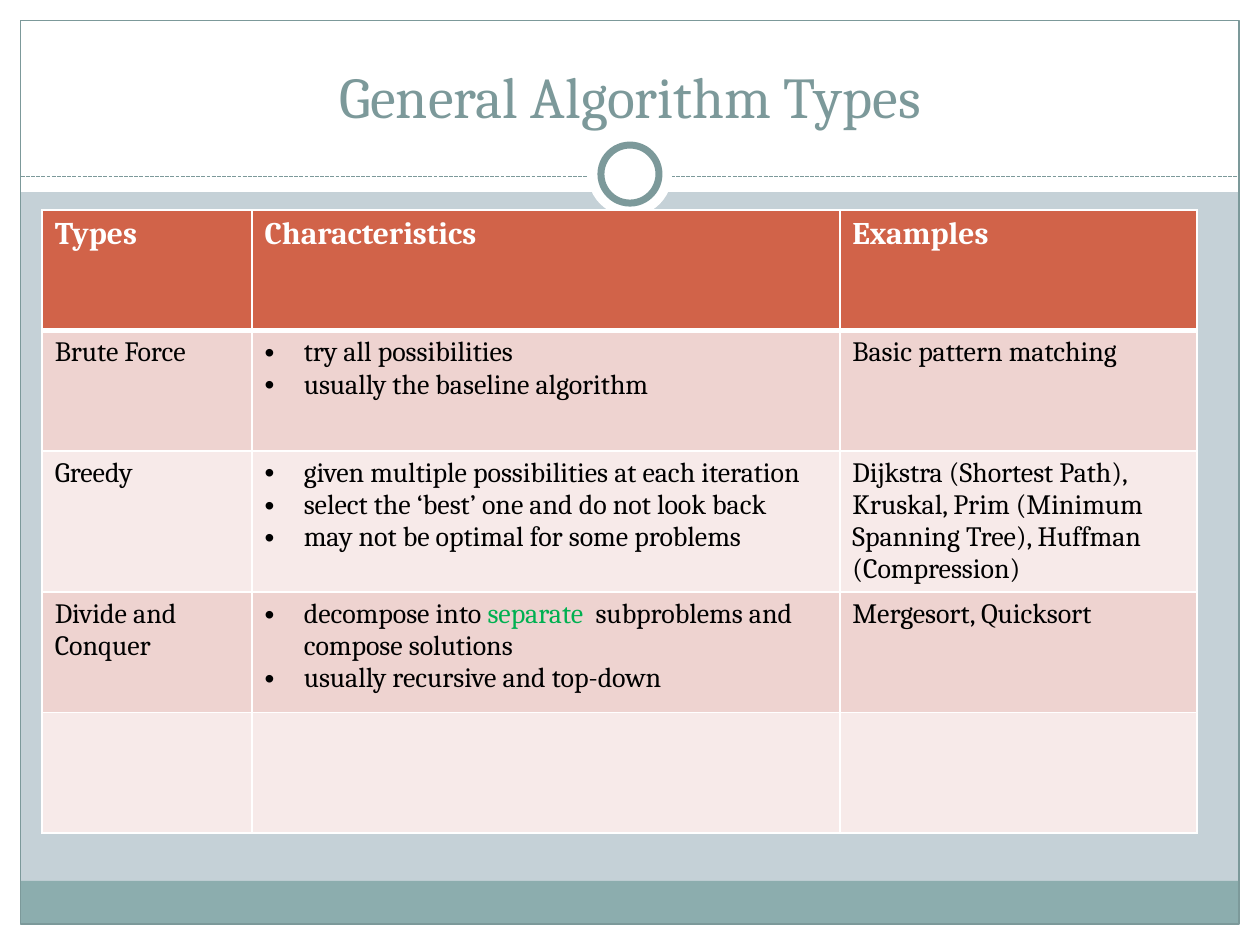
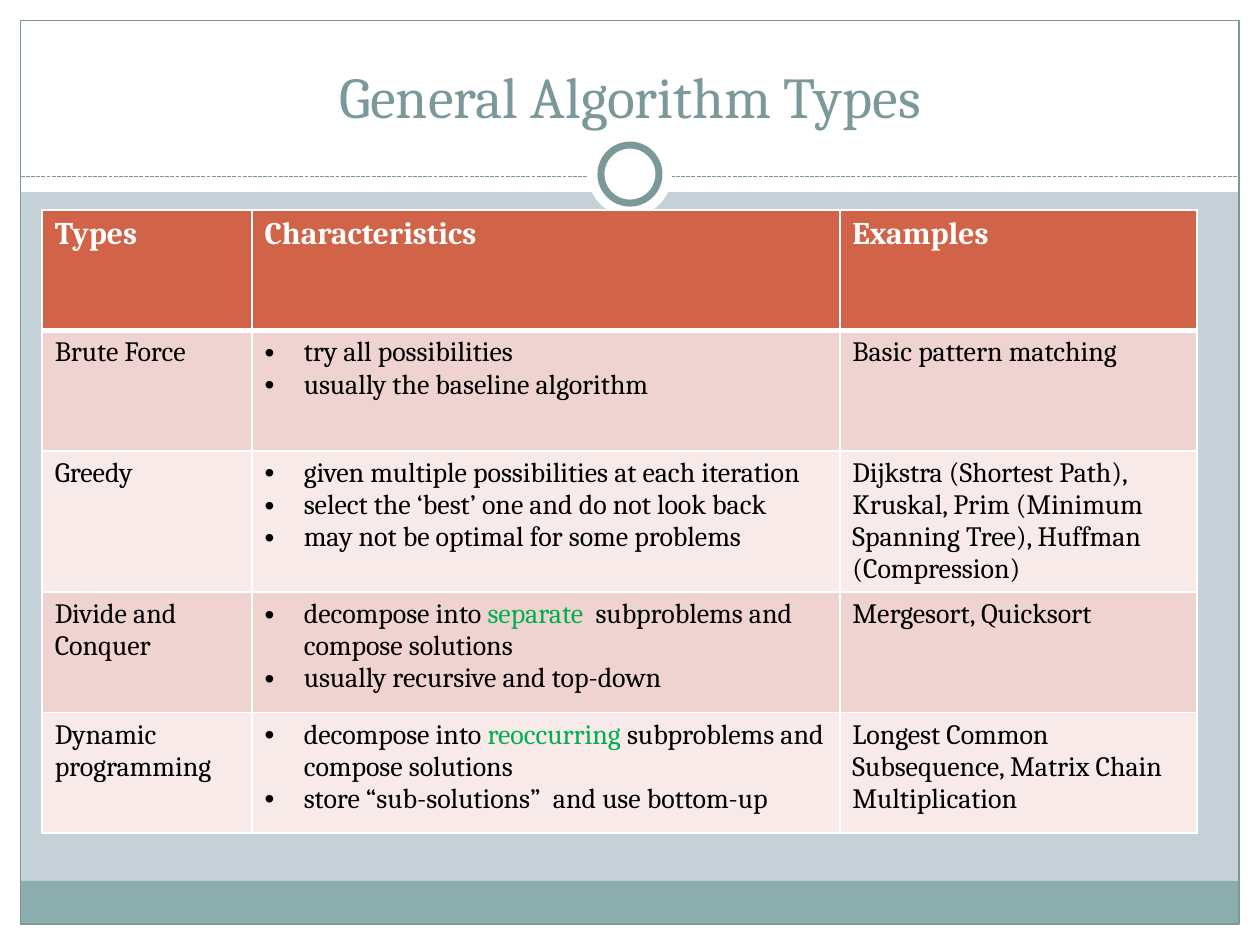
import lxml.etree
import pptx
import pptx.dml.color
import pptx.enum.dml
import pptx.enum.shapes
import pptx.enum.text
import pptx.oxml.ns
import pptx.util

Cm, Pt = pptx.util.Cm, pptx.util.Pt
KIND = pptx.enum.shapes.MSO_SHAPE
ALIGN = pptx.enum.text.PP_ALIGN

WIDE, HIGH = 25.4, 19.05
EDGE = 0.42
FONT = "Cambria"
WHITE, BLACK, GREEN = "FFFFFF", "000000", "00B050"
SKY, SAGE, TEAL = "C5D1D7", "7C999A", "8CADAE"
RUST, PINK, PALE = "D16349", "EED3D0", "F7EAE9"

COLS = [4.23, 11.85, 7.2]
ROW = 2.43
INDENT = 0.79

# Text between asterisks is highlighted; a list becomes bullets.
HEAD = ["Types", "Characteristics", "Examples"]
BASE = [
    ["Brute Force",
     ["try all possibilities", "usually the baseline algorithm"],
     "Basic pattern matching"],
    ["Greedy",
     ["given multiple possibilities at each iteration",
      "select the ‘best’ one and do not look back",
      "may not be optimal for some problems"],
     "Dijkstra (Shortest Path), Kruskal, Prim (Minimum Spanning Tree), "
     "Huffman (Compression)"],
    ["Divide and Conquer",
     ["decompose into *separate  *subproblems and compose solutions",
      "usually recursive and top-down"],
     "Mergesort, Quicksort"],
]
BLANK = ["", "", ""]
DYNAMIC = [
    "Dynamic programming",
    ["decompose into *reoccurring *subproblems and compose solutions",
     "store “sub-solutions”  and use bottom-up"],
    "Longest Common Subsequence, Matrix Chain Multiplication",
]


def color(code):
    return pptx.dml.color.RGBColor.from_string(code)


def node(parent, tag, **attrs):
    """Append a drawing element to parent."""
    item = lxml.etree.SubElement(parent, pptx.oxml.ns.qn(tag))
    for key, value in attrs.items():
        item.set(key, str(value))
    return item


def write(frame, text, size=16, ink=BLACK, bold=False, align=ALIGN.LEFT):
    """Fill a text frame with a string, or with a list as bullets."""
    bullets = isinstance(text, list)
    for i, line in enumerate(text if bullets else [text]):
        para = frame.add_paragraph() if i else frame.paragraphs[0]
        para.alignment = align
        if bullets:
            props = para._p.get_or_add_pPr()
            props.set("marL", str(Cm(INDENT)))
            props.set("indent", str(-Cm(INDENT)))
            node(props, "a:buFont", typeface="Arial")
            node(props, "a:buChar", char="•")
        for j, part in enumerate(line.split("*")):
            if not part:
                continue
            run = para.add_run()
            run.text = part
            run.font.name, run.font.size = FONT, Pt(size)
            run.font.bold = bold
            run.font.color.rgb = color(GREEN if j % 2 else ink)


def draw(slide, kind, x, y, w, h, fill=None, line=None, weight=0.75):
    shape = slide.shapes.add_shape(kind, Cm(x), Cm(y), Cm(w), Cm(h))
    shape.shadow.inherit = False
    if fill:
        shape.fill.solid()
        shape.fill.fore_color.rgb = color(fill)
    else:
        shape.fill.background()
    if line:
        shape.line.color.rgb = color(line)
        shape.line.width = Pt(weight)
    else:
        shape.line.fill.background()


def dash(slide, x, y, w):
    rule = slide.shapes.add_connector(
        pptx.enum.shapes.MSO_CONNECTOR.STRAIGHT, Cm(x), Cm(y), Cm(x + w), Cm(y))
    rule.line.color.rgb = color(SAGE)
    rule.line.width = Pt(0.75)
    rule.line.dash_style = pptx.enum.dml.MSO_LINE.SQUARE_DOT
    node(rule._element.spPr, "a:effectLst")


def ring(slide, x, y):
    """Draw the white disc and the ring centred on a point."""
    for size, line in ((1.7, None), (1.17, SAGE)):
        draw(slide, KIND.OVAL, x - size / 2, y - size / 2, size, size,
             WHITE, line, 4)


def frame(slide, w, h):
    """Draw the white margins, footer band, outline and divider."""
    for box in ((0, h - EDGE, w, EDGE), (0, 0, w, 3.87),
                (0, 0, EDGE, h), (w - EDGE, 0, EDGE, h)):
        draw(slide, KIND.RECTANGLE, *box, WHITE)
    inner, band = w - 2 * EDGE, 0.87
    draw(slide, KIND.RECTANGLE, EDGE, h - EDGE - band, inner, band, TEAL)
    draw(slide, KIND.RECTANGLE, EDGE, EDGE, inner, h - 2 * EDGE, line=SAGE)
    dash(slide, EDGE, 3.56, inner)
    ring(slide, w / 2, 3.51)


def dress(deck, layout):
    """Give the layout its background, frame and title place."""
    layout.background.fill.solid()
    layout.background.fill.fore_color.rgb = color(SKY)
    for holder in list(layout.placeholders):
        if holder.placeholder_format.idx:
            holder._element.getparent().remove(holder._element)
    title = layout.placeholders[0]
    title.left, title.top = Cm(0.85), Cm(0.64)
    title.width, title.height = Cm(23.7), Cm(2.1)

    slide = deck.slides.add_slide(layout)
    frame(slide, WIDE, HIGH)
    for shape in list(slide.shapes):
        if not shape.is_placeholder:
            layout.shapes._spTree.append(shape._element)
    return slide


def border(cell, base):
    """Set white cell borders; base is the width of the lower one."""
    props = cell._tc.get_or_add_tcPr()
    for i, side in enumerate("LRTB"):
        width = base if side == "B" else 1
        line = node(props, "a:ln" + side, w=Pt(width))
        node(node(line, "a:solidFill"), "a:srgbClr", val=WHITE)
        props.insert(i, line)


def grid(slide, rows, x, y):
    table = slide.shapes.add_table(
        len(rows), len(COLS), Cm(x), Cm(y), Cm(sum(COLS)),
        Cm(ROW * len(rows))).table
    for col, width in zip(table.columns, COLS):
        col.width = Cm(width)
    for i, row in enumerate(rows):
        table.rows[i].height = Cm(ROW)
        fill = (PINK if i % 2 else PALE) if i else RUST
        style = {} if i else {"size": 18, "ink": WHITE, "bold": True}
        for j, text in enumerate(row):
            cell = table.cell(i, j)
            cell.fill.solid()
            cell.fill.fore_color.rgb = color(fill)
            # The row below the header shares its thick line.
            border(cell, 1 if i else 3)
            write(cell.text_frame, text, **style)


def page(slide, last):
    """Set the title and the table, which ends with the given row."""
    text = slide.shapes.title.text_frame
    text.auto_size = pptx.enum.text.MSO_AUTO_SIZE.NONE
    text.vertical_anchor = pptx.enum.text.MSO_ANCHOR.BOTTOM
    write(text, "General Algorithm Types", size=33, ink=SAGE,
          align=ALIGN.CENTER)
    grid(slide, [HEAD, *BASE, last], 0.85, 4.23)


def main():
    deck = pptx.Presentation()
    deck.slide_width, deck.slide_height = Cm(WIDE), Cm(HIGH)
    layout = deck.slide_layouts[5]
    page(dress(deck, layout), BLANK)
    page(deck.slides.add_slide(layout), DYNAMIC)
    deck.save("out.pptx")


if __name__ == "__main__":
    main()
